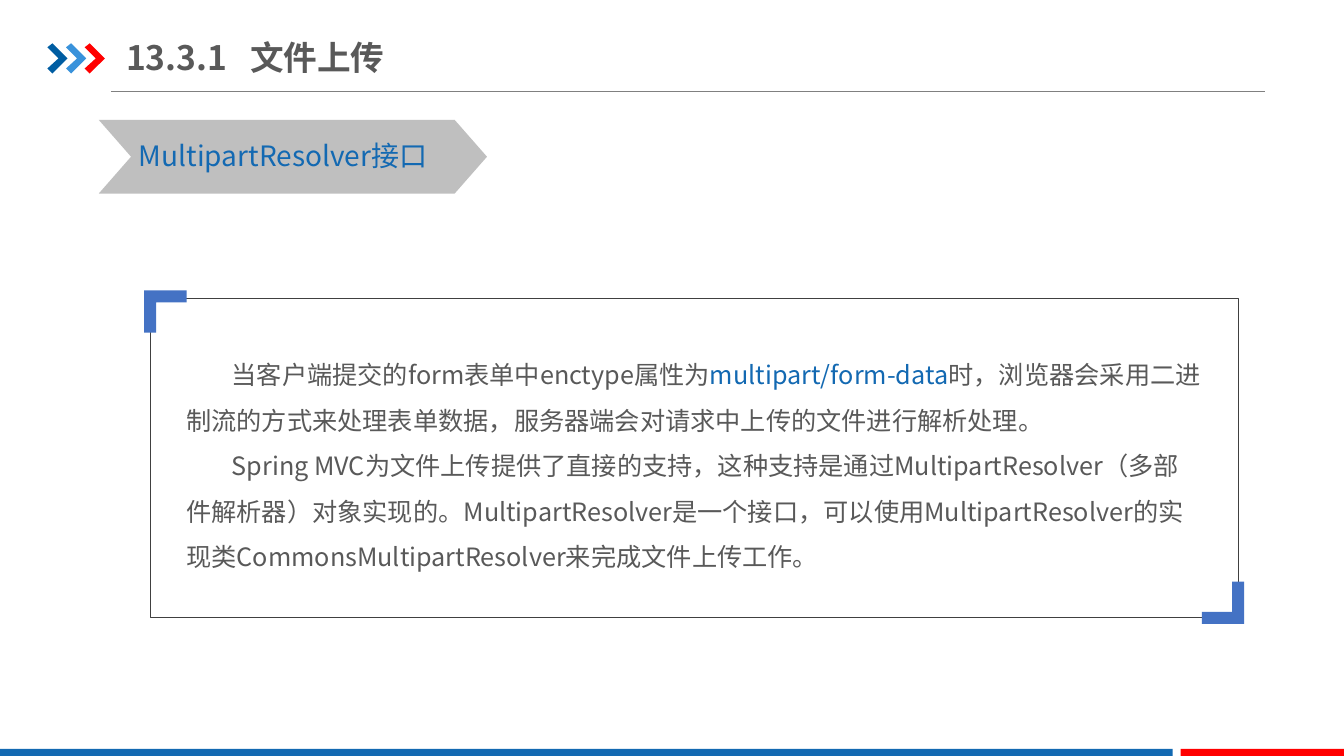
from lxml import etree
from pptx import Presentation
from pptx.dml.color import RGBColor
from pptx.enum.shapes import MSO_CONNECTOR, MSO_SHAPE
from pptx.enum.text import MSO_ANCHOR, MSO_AUTO_SIZE, PP_ALIGN
from pptx.oxml.ns import qn
from pptx.util import Inches, Pt

STRAIGHT = MSO_CONNECTOR.STRAIGHT
RECTANGLE, CHEVRON = MSO_SHAPE.RECTANGLE, MSO_SHAPE.CHEVRON
TOP, MIDDLE = MSO_ANCHOR.TOP, MSO_ANCHOR.MIDDLE
NO_AUTOSIZE, LEFT = MSO_AUTO_SIZE.NONE, PP_ALIGN.LEFT
TITLE_ONLY = 5
FONT = "Noto Sans CJK SC"
GREY, BLUE, RED, CORNER_BLUE = "595959", "1369B2", "FF0000", "4472C4"
ARROW_COLOURS = ["005DA2", "3992DB", RED]
ARROW_POINTS = [(0, 0.04), (0.05, 0), (0.2, 0.15), (0.05, 0.3), (0, 0.25), (0.11, 0.15)]
CORNER_POINTS = [(0, 0), (0.42, 0), (0.42, 0.12), (0.12, 0.12), (0.12, 0.42), (0, 0.42)]
PARAGRAPHS = [
    [("当客户端提交的form表单中enctype属性为", GREY),
     ("multipart/form-data", BLUE),
     ("时，浏览器会采用二进制流的方式来处理表单数据，服务器端会对请求中上传的文件进行解析处理。", GREY)],
    [("Spring MVC为文件上传提供了直接的支持，这种支持是通过MultipartResolver（多部件解析器）对象实现的。"
      "MultipartResolver是一个接口，可以使用MultipartResolver的实现类"
      "CommonsMultipartResolver来完成文件上传工作。", GREY)],
]


def colour(value):
    """Turn a hex string into a colour."""
    return RGBColor.from_string(value)


def fill_plain(shape, value):
    """Give a shape a flat fill without line or shadow."""
    shape.shadow.inherit = False
    shape.fill.solid()
    shape.fill.fore_color.rgb = colour(value)
    shape.line.fill.background()


def add_block(page, kind, box, value):
    """Add a filled preset shape."""
    shape = page.shapes.add_shape(kind, *map(Inches, box))
    fill_plain(shape, value)
    return shape


def add_outline(page, left, top, points, value, sign=1):
    """Add a filled polygon from offsets to a point, turned half round by sign -1."""
    corners = [(Inches(left + sign * x), Inches(top + sign * y)) for x, y in points]
    builder = page.shapes.build_freeform(*corners[0])
    builder.add_line_segments(corners[1:], close=True)
    fill_plain(builder.convert_to_shape(), value)


def prepare_frame(shape, anchor, margins, wrap=True):
    """Set the anchor, wrapping and margins of a text frame."""
    frame = shape.text_frame
    frame.auto_size = NO_AUTOSIZE
    frame.word_wrap = wrap
    frame.vertical_anchor = anchor
    frame.margin_left = frame.margin_right = Inches(margins[0])
    frame.margin_top = frame.margin_bottom = Inches(margins[1])
    return frame


def add_span(para, text, size, value, bold=False):
    """Add one formatted run, with the font set for both scripts."""
    span = para.add_run()
    span.text = text
    font = span.font
    font.size, font.bold, font.name = Pt(size), bold, FONT
    font.color.rgb = colour(value)
    latin = span._r.get_or_add_rPr().find(qn("a:latin"))
    east_asian = etree.Element(qn("a:ea"), typeface=FONT)
    latin.addnext(east_asian)


def add_header(page, left, top):
    """Add the arrows, the title and the rule below it."""
    for index, value in enumerate(ARROW_COLOURS):
        add_outline(page, left + 0.185 * index, top + 0.14, ARROW_POINTS, value)
    rule = page.shapes.add_connector(STRAIGHT, Inches(left + 0.63), Inches(top + 0.62),
                                     Inches(left + 12.08), Inches(top + 0.62))
    rule.line.color.rgb = colour("808080")
    rule.line.width = Pt(0.5)
    etree.SubElement(rule._element.spPr, qn("a:effectLst"))
    title = page.shapes.title
    title.left, title.top = Inches(left + 0.78), Inches(top)
    title.width, title.height = Inches(6), Inches(0.55)
    para = prepare_frame(title, MIDDLE, (0, 0.07)).paragraphs[0]
    para.alignment = LEFT
    tabs = etree.SubElement(para._p.get_or_add_pPr(), qn("a:tabLst"))
    etree.SubElement(tabs, qn("a:tab"), pos=str(Inches(1.23)), algn="l")
    add_span(para, "13.3.1\t文件上传", 24, GREY, True)


def add_topic(page, left, top):
    """Add the chevron with the topic name."""
    chevron = add_block(page, CHEVRON, (left, top, 3.85, 0.73), "BFBFBF")
    chevron.adjustments[0] = 0.438
    box = page.shapes.add_textbox(Inches(left + 0.3), Inches(top + 0.14), Inches(3.37), Inches(0.44))
    para = prepare_frame(box, TOP, (0.1, 0.05)).paragraphs[0]
    add_span(para, "MultipartResolver接口", 20, BLUE)


def add_panel(page, left, top, width, height):
    """Add the framed explanation with its two corner marks."""
    box = page.shapes.add_textbox(Inches(left + 0.26), Inches(top + 0.41),
                                  Inches(width - 0.52), Inches(2.45))
    frame = prepare_frame(box, TOP, (0.1, 0.05))
    for index, spans in enumerate(PARAGRAPHS):
        para = frame.add_paragraph() if index else frame.paragraphs[0]
        para.line_spacing = 1.5
        para._p.get_or_add_pPr().set("indent", str(Inches(0.45)))
        for text, value in spans:
            add_span(para, text, 18, value)
    border = add_block(page, RECTANGLE, (left, top, width, height), "FFFFFF")
    border.fill.background()
    border.line.color.rgb = colour("404040")
    border.line.width = Pt(0.25)
    add_outline(page, left - 0.06, top - 0.08, CORNER_POINTS, CORNER_BLUE)
    add_outline(page, left + width + 0.06, top + height + 0.07, CORNER_POINTS, CORNER_BLUE, -1)


def add_footer(page, top, height):
    """Add the two bars along the bottom edge."""
    add_block(page, RECTANGLE, (0, top, 11.63, height), BLUE)
    add_block(page, RECTANGLE, (11.71, top, 1.62, height), RED)


def main():
    """Build and save the deck."""
    deck = Presentation()
    deck.slide_width, deck.slide_height = Inches(13.33), Inches(7.5)
    page = deck.slides.add_slide(deck.slide_layouts[TITLE_ONLY])
    add_header(page, 0.47, 0.29)
    add_footer(page, 7.43, 0.07)
    add_topic(page, 0.98, 1.19)
    add_panel(page, 1.49, 2.96, 10.79, 3.16)
    deck.save("out.pptx")


if __name__ == "__main__":
    main()
